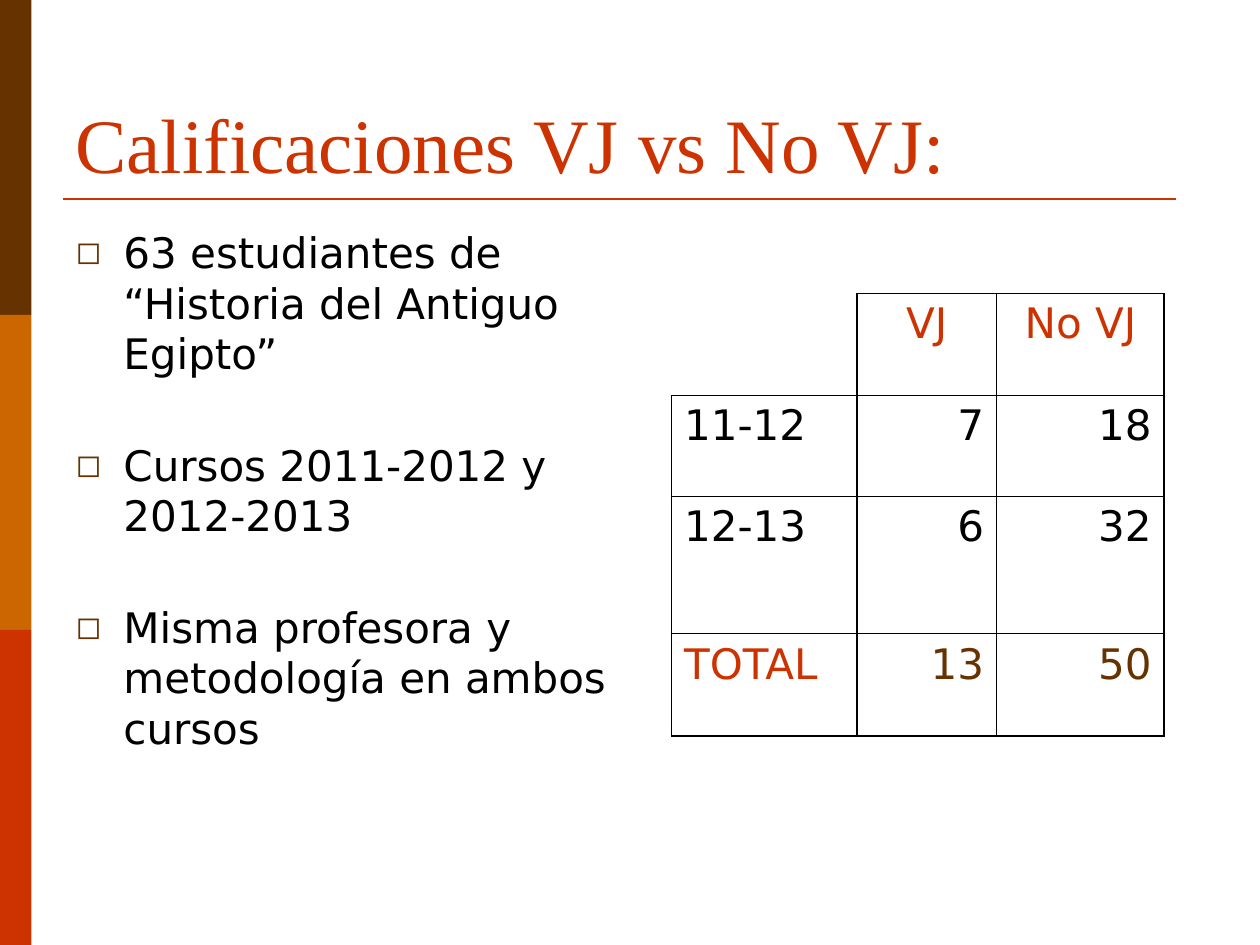
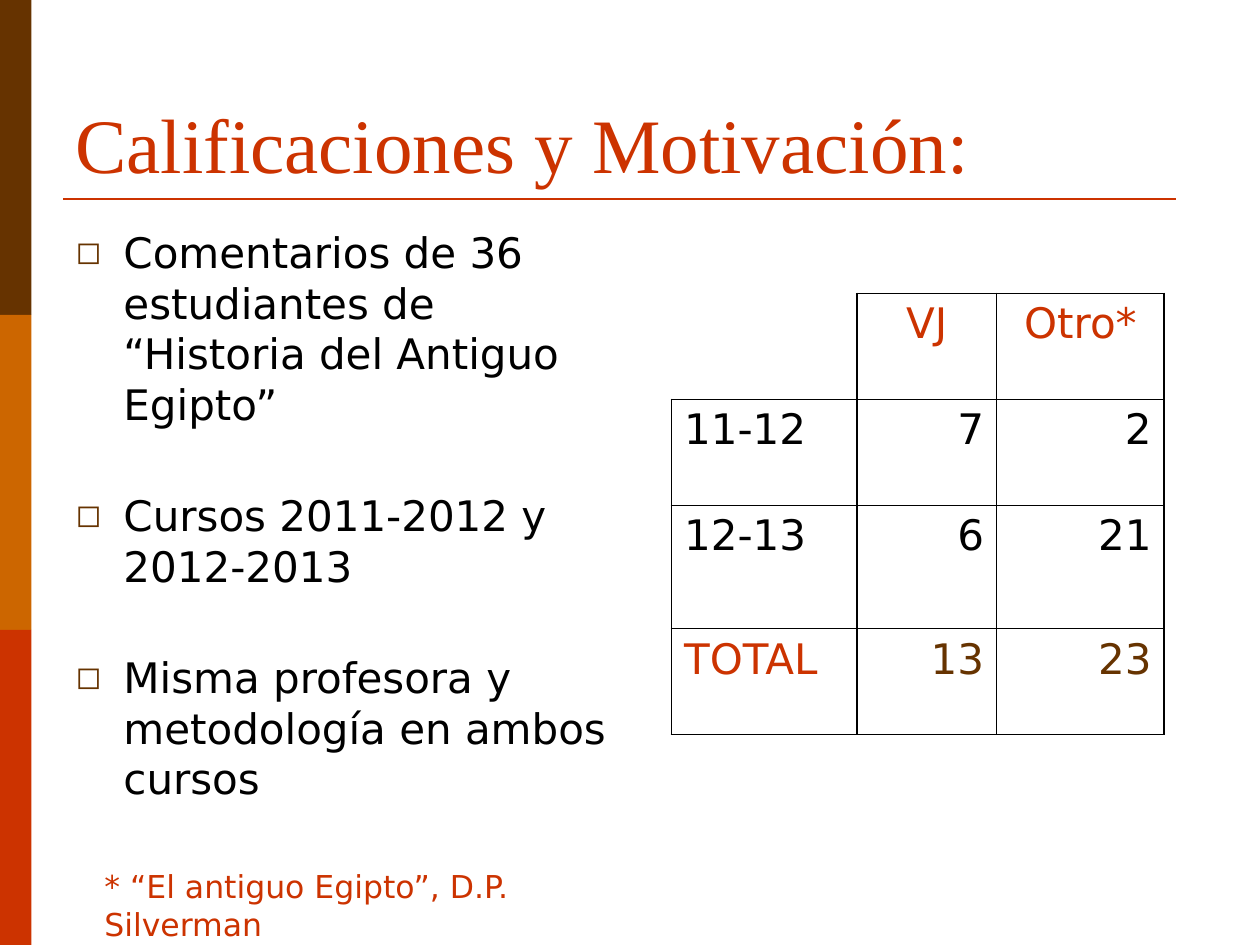
from lxml.etree import SubElement
from pptx import Presentation
from pptx.dml.color import RGBColor
from pptx.enum.shapes import MSO_CONNECTOR, MSO_SHAPE
from pptx.enum.text import MSO_ANCHOR, MSO_AUTO_SIZE, PP_ALIGN
from pptx.oxml.ns import qn
from pptx.util import Emu, Pt

EMU_PER_PX = 9144
BROWN, ORANGE, RED, BLACK = "663300", "CC6600", "CC3300", "000000"
TITLE_FONT, TEXT_FONT = "Times New Roman", "DejaVu Sans"
HEAVY, LIGHT = 1.08, 0.45
COLUMN_WIDTHS = (147, 111, 133)


def px(length):
    """Turn px into EMU."""
    return Emu(length * EMU_PER_PX)


def color(hex_text):
    """Turn a hex string into a colour."""
    return RGBColor.from_string(hex_text)


def place(shape, left, top, width, height):
    """Move and size a shape."""
    shape.left, shape.top = px(left), px(top)
    shape.width, shape.height = px(width), px(height)


def format_spans(para, size, font_name, hex_text):
    """Format every run of a paragraph."""
    for span in para.runs:
        span.font.size = Pt(size)
        span.font.name = font_name
        span.font.color.rgb = color(hex_text)


def add_frame(page):
    """Draw the side bands and the rule under the title."""
    for index, band_color in enumerate((BROWN, ORANGE, RED)):
        band = page.shapes.add_shape(
            MSO_SHAPE.RECTANGLE, px(0), px(index * 250), px(25), px(250))
        band.shadow.inherit = False
        band.fill.solid()
        band.fill.fore_color.rgb = color(band_color)
        band.line.fill.background()
    rule = page.shapes.add_connector(
        MSO_CONNECTOR.STRAIGHT, px(50), px(158), px(933), px(158))
    rule.line.color.rgb = color(RED)
    rule.line.width = Pt(1.5)
    SubElement(rule._element.spPr, qn("a:effectLst"))


def add_title(page, text):
    """Fill the title placeholder."""
    title = page.shapes.title
    place(title, 50, 30, 900, 125)
    frame = title.text_frame
    frame.text = text
    frame.vertical_anchor = MSO_ANCHOR.BOTTOM
    frame.auto_size = MSO_AUTO_SIZE.NONE
    para = frame.paragraphs[0]
    para.alignment = PP_ALIGN.LEFT
    format_spans(para, 44, TITLE_FONT, RED)


def add_bullet(para):
    """Give a paragraph a hollow square and a hanging indent."""
    properties = para._p.get_or_add_pPr()
    properties.set("marL", str(px(38)))
    properties.set("indent", str(-px(38)))
    bullet_color = SubElement(properties, qn("a:buClr"))
    SubElement(bullet_color, qn("a:srgbClr"), val=BROWN)
    SubElement(properties, qn("a:buSzPct"), val="75000")
    SubElement(properties, qn("a:buFont"), typeface=TEXT_FONT)
    SubElement(properties, qn("a:buChar"), char="◻")


def add_list(page, items):
    """Fill the body placeholder with bulleted items."""
    body = page.placeholders[1]
    place(body, 50, 175, 442, 495)
    frame = body.text_frame
    frame.text = "\n".join(items)
    frame.auto_size = MSO_AUTO_SIZE.NONE
    for index, para in enumerate(frame.paragraphs):
        add_bullet(para)
        para.space_before = Pt(35 if index else 0)
        format_spans(para, 24, TEXT_FONT, BLACK)


def set_border(cell, side, width):
    """Draw one side of a cell, or hide it when width is zero."""
    properties = cell._tc.get_or_add_tcPr()
    border = SubElement(properties, qn(f"a:ln{side}"), w=str(Pt(width)))
    if width:
        fill = SubElement(border, qn("a:solidFill"))
        SubElement(fill, qn("a:srgbClr"), val=BLACK)
    else:
        SubElement(border, qn("a:noFill"))


def format_cell(cell, row, column, last_row):
    """Style a cell by its place in the table."""
    corner = row == column == 0
    widths = {
        "L": 0 if corner else HEAVY if column <= 1 else LIGHT,
        "R": LIGHT if column == 1 else HEAVY,
        "T": 0 if corner else HEAVY if row <= 1 else LIGHT,
        "B": HEAVY if row in (0, last_row) else LIGHT,
    }
    for side, width in widths.items():
        set_border(cell, side, width)
    cell.fill.background()
    para = cell.text_frame.paragraphs[0]
    if row == 0:
        para.alignment, text_color = PP_ALIGN.CENTER, RED
    elif column == 0:
        para.alignment = PP_ALIGN.LEFT
        text_color = RED if row == last_row else BLACK
    else:
        para.alignment = PP_ALIGN.RIGHT
        text_color = BROWN if row == last_row else BLACK
    format_spans(para, 24, TEXT_FONT, text_color)


def add_grades_table(page, rows, heights):
    """Add the table of students by course."""
    table = page.shapes.add_table(
        len(rows), len(COLUMN_WIDTHS), px(533), px(233),
        px(sum(COLUMN_WIDTHS)), px(sum(heights))).table
    table.first_row = table.horz_banding = False
    for column, width in zip(table.columns, COLUMN_WIDTHS):
        column.width = px(width)
    for row, (values, height) in enumerate(zip(rows, heights)):
        table.rows[row].height = px(height)
        for column, value in enumerate(values):
            cell = table.cell(row, column)
            cell.text = value
            format_cell(cell, row, column, len(rows) - 1)


def add_footnote(page, text):
    """Add the note that explains the asterisk."""
    box = page.shapes.add_textbox(px(73), px(683), px(441), px(40))
    box.text_frame.word_wrap = True
    box.text_frame.text = text
    format_spans(box.text_frame.paragraphs[0], 18, TEXT_FONT, RED)


def add_page(deck, title, students, rows, heights):
    """Add a page with a title, a list and a table."""
    page = deck.slides.add_slide(deck.slide_layouts[1])
    add_frame(page)
    add_title(page, title)
    add_list(page, (students, "Cursos 2011-2012 y 2012-2013",
                    "Misma profesora y metodología en ambos cursos"))
    add_grades_table(page, rows, heights)
    return page


def main():
    """Build and save the deck."""
    deck = Presentation()
    deck.slide_width, deck.slide_height = px(1000), px(750)
    add_page(
        deck, "Calificaciones VJ vs No VJ:",
        "63 estudiantes de “Historia del Antiguo Egipto”",
        (("", "VJ", "No VJ"), ("11-12", "7", "18"),
         ("12-13", "6", "32"), ("TOTAL", "13", "50")),
        (81, 80, 109, 81))
    motivation = add_page(
        deck, "Calificaciones y Motivación:",
        "Comentarios de 36 estudiantes de “Historia del Antiguo Egipto”",
        (("", "VJ", "Otro*"), ("11-12", "7", "2"),
         ("12-13", "6", "21"), ("TOTAL", "13", "23")),
        (84, 84, 98, 84))
    add_footnote(motivation, "* “El antiguo Egipto”, D.P. Silverman")
    deck.save("out.pptx")


if __name__ == "__main__":
    main()
